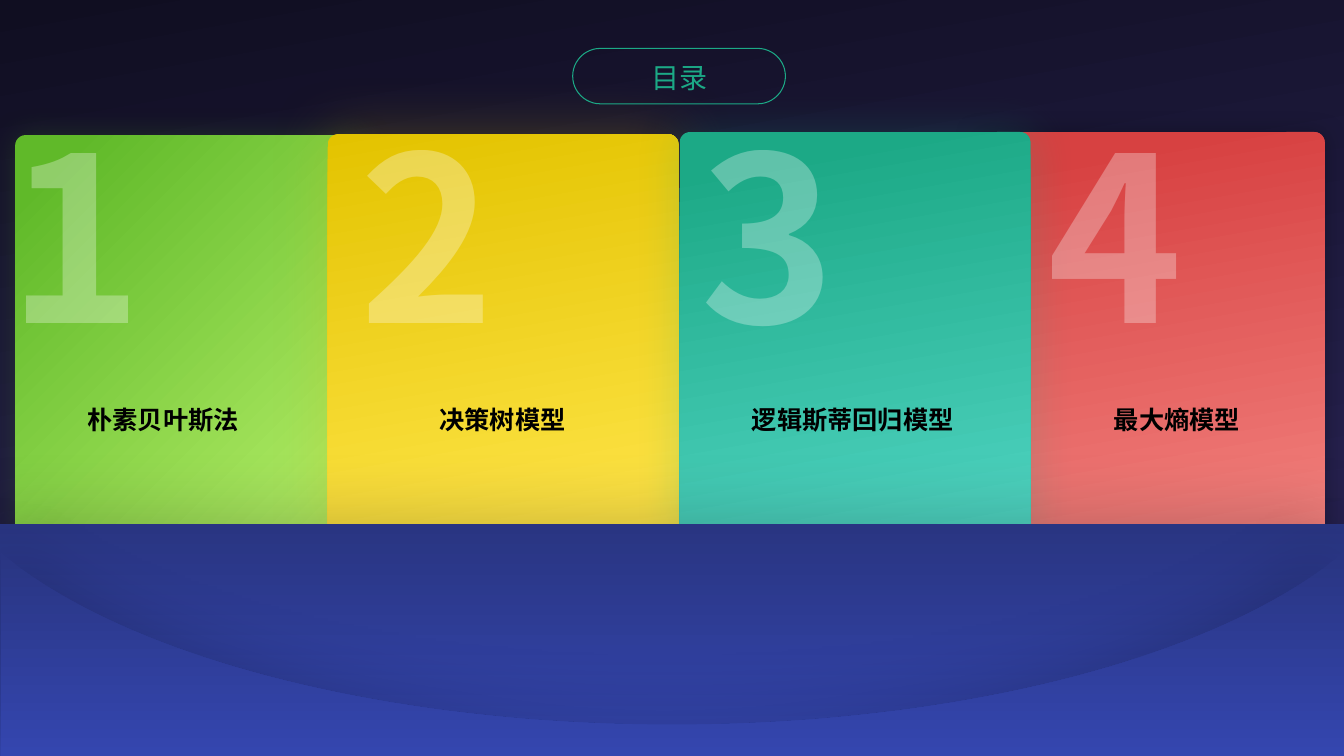
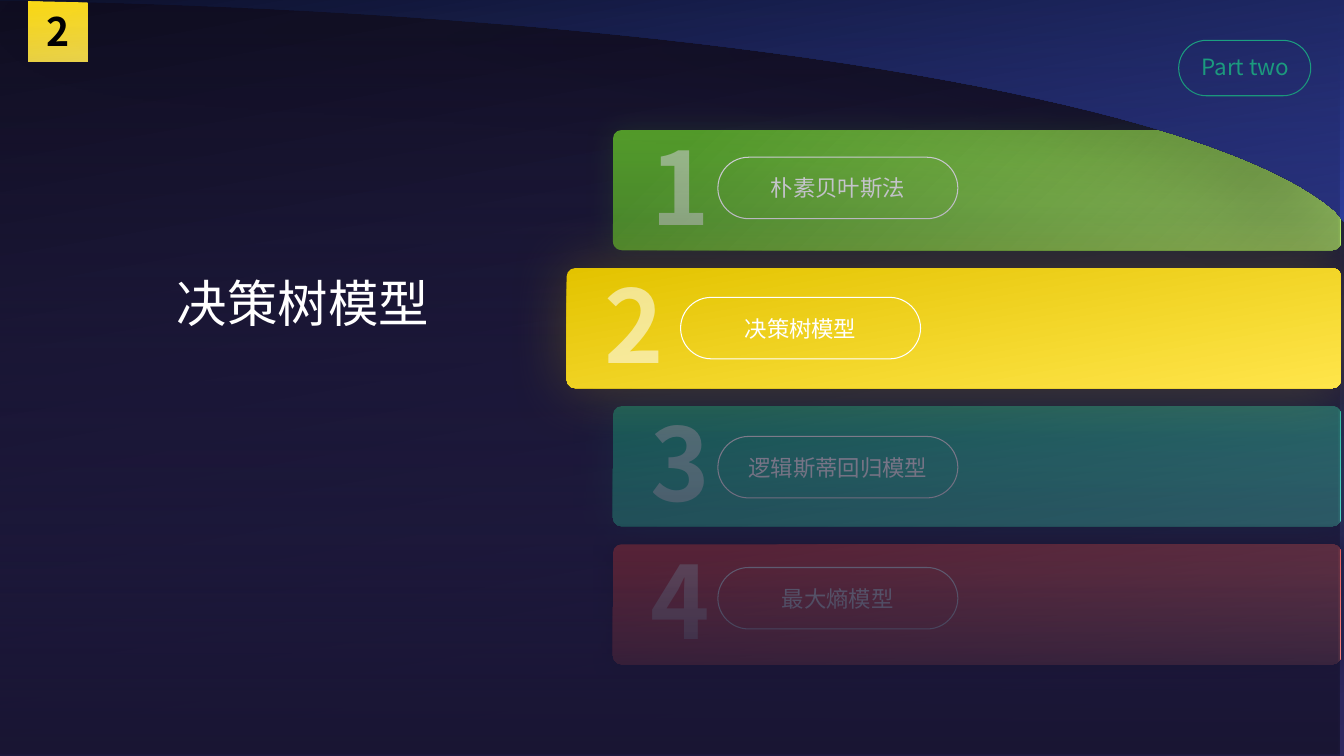
"""Builds two slides: a contents page and a section opener."""
from collections import namedtuple

from lxml import etree
from pptx import Presentation
from pptx.dml.color import RGBColor
from pptx.enum.shapes import MSO_SHAPE
from pptx.enum.text import MSO_ANCHOR, MSO_AUTO_SIZE, PP_ALIGN
from pptx.oxml.ns import qn
from pptx.util import Inches, Pt

RECT, ROUND = MSO_SHAPE.RECTANGLE, MSO_SHAPE.ROUNDED_RECTANGLE
LEFT, CENTER = PP_ALIGN.LEFT, PP_ALIGN.CENTER
MIDDLE, FIXED = MSO_ANCHOR.MIDDLE, MSO_AUTO_SIZE.NONE
FONT = "Noto Sans CJK SC"
WHITE, BLACK, TEAL, NIGHT = "FFFFFF", "000000", "1CA986", "191533"
WIDE, HIGH = 13.33, 7.5

Grad = namedtuple("Grad", "first last angle start", defaults=(0,))
Shade = namedtuple("Shade", "color alpha blur dist angle", defaults=(0, 0))
Topic = namedtuple("Topic", "text grad shade")

SKY = Grad("100E21", "2E285F", 80)
SEA = Grad("293582", "3446AF", 90)
DUSK = Grad("0E122C", "2E3D9A", 80)
BADGE = Grad("FDDC18", "FDE44E", 80, 0.09)
MINT = Grad(TEAL, "50D4C2", 90)
SEA_SHADE = Shade(BLACK, 20, 50, 8, 225)
DUSK_SHADE = Shade(BLACK, 21, 60, 28, 135)

TOPICS = {
    1: Topic("朴素贝叶斯法", Grad("60B929", "B7F06A", 45, 0.09), Shade("519C23", 22, 22)),
    2: Topic("决策树模型", Grad("E3C300", "FFE54A", 80), Shade("CFB207", 25, 44)),
    3: Topic("逻辑斯蒂回归模型", Grad(TEAL, "50D4C2", 80, 0.09), Shade(TEAL, 22, 32)),
    4: Topic("最大熵模型", Grad("D74141", "F2817E", 80, 0.09), Shade(BLACK, 25, 16)),
}


def rgb(code):
    """Turn a hex string into a colour."""
    return RGBColor.from_string(code)


def paint(fill, grad):
    """Give a fill a two-stop linear gradient."""
    fill.gradient()
    fill.gradient_angle = (360 - grad.angle) % 360
    first, last = fill.gradient_stops
    first.color.rgb, first.position = rgb(grad.first), grad.start
    last.color.rgb, last.position = rgb(grad.last), 1


def fade(clr, alpha):
    """Set the opacity of a colour element in percent."""
    etree.SubElement(clr, qn("a:alpha"), val=str(alpha * 1000))


def cast(shape, shade=None):
    """Replace the default shadow with the given one or none."""
    shape.shadow.inherit = False
    if shade:
        effects = shape._element.spPr.find(qn("a:effectLst"))
        outer = etree.SubElement(
            effects, qn("a:outerShdw"), blurRad=str(Pt(shade.blur)),
            dist=str(Pt(shade.dist)), dir=str(shade.angle * 60000),
            algn="ctr", rotWithShape="0")
        fade(etree.SubElement(outer, qn("a:srgbClr"), val=shade.color), shade.alpha)


def write(shape, text, size, color=WHITE, bold=False, align=CENTER, alpha=None):
    """Write one styled line, centred vertically."""
    frame = shape.text_frame
    frame.word_wrap, frame.auto_size = True, FIXED
    frame.vertical_anchor = MIDDLE
    line = frame.paragraphs[0]
    line.text, line.alignment = text, align
    font = line.font
    font.name, font.size, font.bold = FONT, Pt(size), bold
    props = line._p.pPr.find(qn("a:defRPr"))
    etree.SubElement(props, qn("a:ea"), typeface=FONT)
    if isinstance(color, Grad):
        paint(font.fill, color)
    else:
        font.color.rgb = rgb(color)
    if alpha:
        fade(props.find(".//" + qn("a:srgbClr")), alpha)


def label(slide, at, text, size, **style):
    """Add a text box."""
    box = slide.shapes.add_textbox(*map(Inches, at))
    write(box, text, size, **style)


def block(slide, kind, at, grad, shade=None, adj=None):
    """Add a gradient shape without an outline."""
    shape = slide.shapes.add_shape(kind, *map(Inches, at))
    if adj is not None:
        shape.adjustments[0] = adj
    paint(shape.fill, grad)
    shape.line.fill.background()
    cast(shape, shade)
    return shape


def pill(slide, at, color=WHITE, text=None):
    """Add an outlined capsule, with text if given."""
    shape = slide.shapes.add_shape(ROUND, *map(Inches, at))
    shape.adjustments[0] = 0.5
    shape.fill.background()
    shape.line.color.rgb = rgb(color)
    shape.line.width = Pt(0.75)
    cast(shape)
    if text:
        write(shape, text, 16, color)


def curve(a, b, c, d, steps=40):
    """List points along a cubic curve."""
    def mix(t, p, q, r, s):
        u = 1 - t
        return u**3 * p + 3 * u * u * t * q + 3 * u * t * t * r + t**3 * s
    return [tuple(mix(i / steps, *axis) for axis in zip(a, b, c, d))
            for i in range(steps + 1)]


def outline(slide, points, grad, shade):
    """Add a closed gradient shape through the points."""
    first, *rest = [(Inches(x), Inches(y)) for x, y in points]
    maker = slide.shapes.build_freeform(*first)
    maker.add_line_segments(rest, close=True)
    shape = maker.convert_to_shape()
    paint(shape.fill, grad)
    shape.line.fill.background()
    cast(shape, shade)


def head(slide, at, text, size, color):
    """Place the title on top of what is drawn so far."""
    title = slide.shapes.title
    title.left, title.top, title.width, title.height = map(Inches, at)
    write(title, text, size, color)
    title._element.getparent().append(title._element)


def veil(slide):
    """Dim the slide with a see-through gradient."""
    shape = block(slide, RECT, (-0.04, -0.01, WIDE, 7.51), Grad(NIGHT, NIGHT, 90))
    stops = shape._element.spPr.find(".//" + qn("a:gsLst"))
    stops.clear()
    for place, alpha in ((0, 0), (50, 50), (75, 69), (100, 100)):
        stop = etree.SubElement(stops, qn("a:gs"), pos=str(place * 1000))
        fade(etree.SubElement(stop, qn("a:srgbClr"), val=NIGHT), alpha)


def bar(slide, num, left, inset, drop):
    """Add a numbered topic bar that ends at the right edge."""
    topic, top = TOPICS[num], 1.29 + 1.37 * (num - 1)
    block(slide, ROUND, (left, top, 13.3 - left, 1.19), topic.grad, topic.shade, 0.07)
    label(slide, (left + 0.07, top - 0.11, 1.2, 1.31), str(num), 72,
          bold=True, alpha=54)
    pill(slide, (left + inset, top + drop, 2.38, 0.61), text=topic.text)


def contents(slide):
    """Draw the contents slide."""
    cards = {1: (0.15, 1.34), 4: (9.66, 1.31), 2: (3.25, 1.33), 3: (6.74, 1.31)}
    for num, (left, top) in cards.items():
        topic = TOPICS[num]
        block(slide, ROUND, (left, top, 3.48, 4), topic.grad, topic.shade, 0.03)
    pill(slide, (5.68, 0.48, 2.11, 0.55), TEAL)
    head(slide, (5.71, 0.55, 2.06, 0.44), "目录", 20, MINT)
    marks = ((0.75, 0.77), (4.24, 4.26), (7.62, 7.36), (11.06, 10.95))
    for num, (mid, left) in enumerate(marks, 1):
        label(slide, (mid - 1.4, 0.87, 2.8, 2.86), str(num), 164,
              bold=True, alpha=30)
        label(slide, (left, 3.96, 2.3, 0.4), TOPICS[num].text, 18,
              color=BLACK, bold=True, align=LEFT)
    block(slide, RECT, (0, 5.2, WIDE, 2.3), SEA, SEA_SHADE)
    bowl = curve((0.18, 5.62), (1.43, 6.55), (3.86, 7.19), (6.67, 7.19))
    bowl += [(WIDE - x, y) for x, y in reversed(bowl)]
    edge = [(WIDE, 5.47), (WIDE, HIGH), (0.01, HIGH), (0.01, 5.48)]
    outline(slide, edge + bowl, SEA, SEA_SHADE)


def section(slide):
    """Draw the opener of part two."""
    for num, drop in ((1, 0.27), (3, 0.3), (4, 0.23)):
        bar(slide, num, 6.08, 1.04, drop)
    badge = block(slide, RECT, (0.28, 0, 0.59, 0.61), BADGE)
    write(badge, "2", 28, BLACK, True)
    arc = curve((0.29, 0.01), (6.74, 0.13), (11.96, 0.98), (13.24, 2.09))
    outline(slide, [(WIDE, 2.2), (WIDE, 0), (0, 0), (0, 0.01)] + arc,
            DUSK, DUSK_SHADE)
    pill(slide, (11.69, 0.4, 1.31, 0.55), TEAL)
    label(slide, (11.71, 0.48, 1.28, 0.37), "Part two", 16, color=MINT)
    veil(slide)
    head(slide, (0.63, 2.64, 4.75, 0.71), TOPICS[2].text, 36, WHITE)
    bar(slide, 2, 5.62, 1.13, 0.29)


def main():
    """Build and save the slides."""
    deck = Presentation()
    deck.slide_width, deck.slide_height = Inches(WIDE), Inches(HIGH)
    paint(deck.slide_master.background.fill, SKY)
    for draw in (contents, section):
        draw(deck.slides.add_slide(deck.slide_layouts[5]))
    deck.save("out.pptx")


if __name__ == "__main__":
    main()
